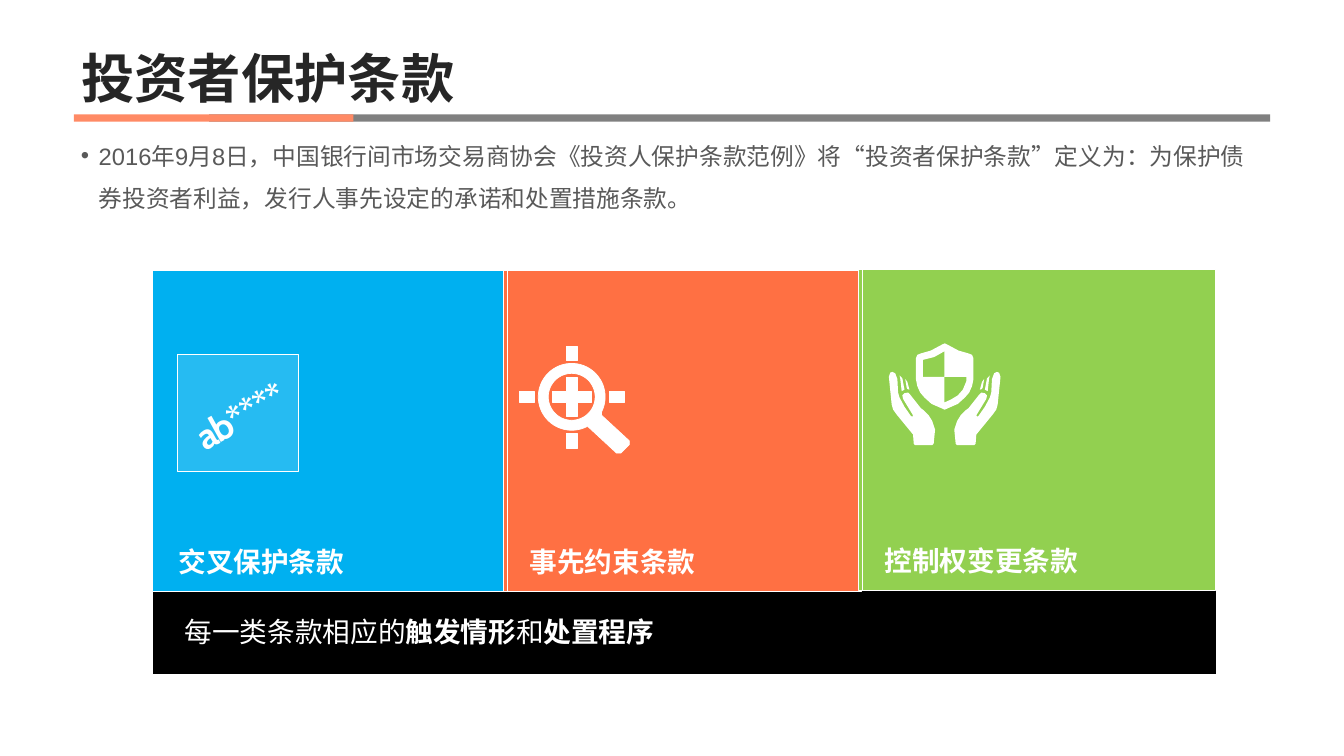
from math import cos, radians, sin

from lxml.etree import SubElement
from pptx import Presentation
from pptx.dml.color import RGBColor
from pptx.enum.lang import MSO_LANGUAGE_ID
from pptx.enum.shapes import MSO_CONNECTOR, MSO_SHAPE
from pptx.enum.text import MSO_ANCHOR, PP_ALIGN
from pptx.oxml.ns import qn
from pptx.util import Inches, Pt

COLORS = {
    "white": "FFFFFF", "black": "000000", "title": "262626", "body": "595959",
    "gray": "808080", "coral": "FF8A65",
    "blue": "00B0F0", "orange": "FF7043", "green": "92D050",
}
# label, fill, left, top, width and right inset, relative to the panel
CARDS = [
    ("交叉保护条款", "blue", 0, 0.02, 4.97, 0.37),
    ("事先约束条款", "orange", 4.94, 0.02, 5.03, 0.19),
    ("控制权变更条款", "green", 9.93, 0, 5.02, 0.19),
]


def rgb(name):
    return RGBColor.from_string(COLORS[name])


def add_run(p, text, size, color, bold=False, font="Arial"):
    r = p.add_run()
    r.text = text
    r.font.name, r.font.size, r.font.bold = font, Pt(size), bold
    r.font.color.rgb = rgb(color)
    r.font.language_id = MSO_LANGUAGE_ID.SIMPLIFIED_CHINESE
    return r


def style(sp, fill, line=None):
    sp.shadow.inherit = False
    sp.fill.solid()
    sp.fill.fore_color.rgb = rgb(fill)
    if line:
        sp.line.color.rgb = rgb("white")
        sp.line.width = Pt(line)
    else:
        sp.line.fill.background()


def add_rect(s, x, y, w, h, fill, line=None):
    sp = s.shapes.add_shape(MSO_SHAPE.RECTANGLE, Inches(x), Inches(y), Inches(w), Inches(h))
    style(sp, fill, line)
    return sp


def add_text_box(s, x, y, w, h):
    sp = s.shapes.add_textbox(Inches(x), Inches(y), Inches(w), Inches(h))
    sp.text_frame.word_wrap = True
    return sp


def add_icon(s, x, y, contours, line=None):
    """Draw closed contours as one white shape; inner contours become holes."""
    outlines = [[(Inches(x + px), Inches(y + py)) for px, py in c] for c in contours]
    builder = s.shapes.build_freeform(*outlines[0][0], scale=1.0)
    builder.add_line_segments(outlines[0][1:], close=True)
    for outline in outlines[1:]:
        builder.move_to(*outline[0])
        builder.add_line_segments(outline[1:], close=True)
    style(builder.convert_to_shape(), "white", line)


def arc(cx, cy, radius, start, end):
    return [(cx + radius * cos(radians(a)), cy + radius * sin(radians(a)))
            for a in range(start, end + 1, 6)]


def box_points(x1, y1, x2, y2):
    return [(x1, y1), (x2, y1), (x2, y2), (x1, y2)]


# Heading with its two-colour rule
def add_heading(s, x, y, w, h):
    title = s.shapes.title
    title.left, title.top, title.width, title.height = map(Inches, (x, y, w, h))
    tf = title.text_frame
    tf.word_wrap = True
    tf.vertical_anchor = MSO_ANCHOR.BOTTOM
    p = tf.paragraphs[0]
    p.alignment, p.line_spacing = PP_ALIGN.LEFT, 0.9
    add_run(p, "投资者保护条款", 54, "title", True)
    add_rect(s, x + 1.9, y + h + 0.02, w - 1.9, 0.1, "gray")
    add_rect(s, x, y + h + 0.02, 3.93, 0.1, "coral")


# Definition bullet
def add_definition(s, x, y, w, h):
    p = add_text_box(s, x, y, w, h).text_frame.paragraphs[0]
    p.line_spacing = 1.5
    ppr = p._p.get_or_add_pPr()
    ppr.set("marL", str(Inches(0.25)))
    ppr.set("indent", str(-Inches(0.25)))
    SubElement(ppr, qn("a:buFont")).set("typeface", "Arial")
    SubElement(ppr, qn("a:buChar")).set("char", "•")
    add_run(p, "2016年9月8日，中国银行间市场交易商协会《投资人保护条款范例》将"
               "“投资者保护条款”定义为：为保护债券投资者利益，"
               "发行人事先设定的承诺和处置措施条款。", 24, "body")


# Icons
def add_password(s, x, y):
    frame = add_rect(s, x, y, 1.7, 1.64, "white", 1)
    clr = frame.fill._xPr.find(qn("a:solidFill"))[0]
    SubElement(clr, qn("a:alpha")).set("val", "15000")
    sp = add_text_box(s, x + 0.09, y + 0.08, 3.22, 0.67)
    sp.rotation = 330.7
    tf = sp.text_frame
    tf.margin_left = tf.margin_right = tf.margin_top = tf.margin_bottom = 0
    r = add_run(tf.paragraphs[0], "ab****", 37.1, "white", True, "Cabin")
    r.font._element.set("spc", "-130")


def add_magnifier(s, x, y):
    cx, cy, t = 0.74, 0.71, 0.075
    handle = [(1.16, 0.97), (1.55, 1.33), (1.55, 1.38), (1.43, 1.5), (1.37, 1.5), (0.97, 1.13)]
    a, b = 0.27, t
    cross = [(-b, -a), (b, -a), (b, -b), (a, -b), (a, b), (b, b),
             (b, a), (-b, a), (-b, b), (-a, b), (-a, -b), (-b, -b)]
    ticks = [box_points(cx - t, top, cx + t, top + 0.2) for top in (0, 1.23)]
    ticks += [box_points(left, cy - t, left + 0.21, cy + t) for left in (0, 1.27)]
    add_icon(s, x, y, [
        arc(cx, cy, 0.47, 63, 387) + handle,
        arc(cx, cy, 0.33, 0, 354),
        [(cx + px, cy + py) for px, py in cross],
    ] + ticks, 0.75)


def add_shield_in_hands(s, x, y):
    w = 1.57

    def mirror(points):
        return [(w - px, py) for px, py in reversed(points)]

    hand = [
        [(0.05, 0.4), (0.09, 0.42), (0.12, 0.5), (0.13, 0.69), (0.15, 0.76), (0.22, 0.89),
         (0.31, 1.02), (0.33, 1.03), (0.34, 1.01), (0.2, 0.78), (0.19, 0.73), (0.22, 0.7),
         (0.27, 0.69), (0.3, 0.72), (0.45, 0.91), (0.49, 0.94), (0.56, 1.01), (0.61, 1.09),
         (0.64, 1.18), (0.65, 1.21), (0.63, 1.41), (0.61, 1.43), (0.37, 1.43), (0.35, 1.41),
         (0.34, 1.28), (0.11, 1), (0.06, 0.93), (0.04, 0.86), (0, 0.47), (0.02, 0.41)],
        [(0.15, 0.45), (0.19, 0.49), (0.22, 0.65), (0.18, 0.67), (0.16, 0.49)],
        [(0.23, 0.5), (0.26, 0.54), (0.29, 0.65), (0.26, 0.64), (0.25, 0.62)],
    ]
    half = [(0.78, 0), (0.74, 0.02), (0.59, 0.1), (0.45, 0.14), (0.4, 0.16), (0.38, 0.21),
            (0.38, 0.5), (0.4, 0.6), (0.44, 0.69), (0.5, 0.76), (0.6, 0.85), (0.76, 0.92),
            (0.78, 0.93)]
    quarters = [
        [(0.78, 0.11), (0.64, 0.19), (0.48, 0.23), (0.48, 0.47), (0.78, 0.47)],
        [(0.78, 0.47), (1.09, 0.47), (1.09, 0.53), (1.04, 0.65), (0.97, 0.73),
         (0.87, 0.79), (0.78, 0.83)],
    ]
    add_icon(s, x, y, [half + mirror(half)] + quarters + hand + [mirror(c) for c in hand])


# Panel with three clause cards and a summary strip
def add_card(s, x, y, w, h, label, fill, inset):
    sp = add_rect(s, x, y, w, h, fill, 1)
    tf = sp.text_frame
    tf.word_wrap = True
    tf.vertical_anchor = MSO_ANCHOR.BOTTOM
    tf.margin_left, tf.margin_right = Inches(0.37), Inches(inset)
    tf.margin_top, tf.margin_bottom = Inches(0.09), Inches(0.19)
    p = tf.paragraphs[0]
    p.alignment = PP_ALIGN.LEFT
    add_run(p, label, 28, "white", True)


def add_panel(s, x, y, w, h):
    add_rect(s, x, y + 0.01, w, h, "black", 0.5)
    for label, fill, left, top, width, inset in CARDS:
        add_card(s, x + left, y + top, width, 4.51, label, fill, inset)
    for left in (5, 9.99):
        line = s.shapes.add_connector(MSO_CONNECTOR.STRAIGHT, Inches(x + left), Inches(y - 0.1),
                                      Inches(x + left), Inches(y + 4.52))
        line.line.color.rgb = rgb("white")
        line.line.width = Pt(0.5)
        SubElement(line._element.spPr, qn("a:effectLst"))
    add_password(s, x + 0.36, y + 1.2)
    add_magnifier(s, x + 5.16, y + 1.08)
    add_shield_in_hands(s, x + 10.36, y + 1.04)
    p = add_text_box(s, x + 0.36, y + 4.81, 12.97, 0.57).text_frame.paragraphs[0]
    for text, bold in (("每一类条款相应的", False), ("触发情形", True),
                       ("和", False), ("处置程序", True)):
        add_run(p, text, 28, "white", bold)


def main():
    prs = Presentation()
    prs.slide_width, prs.slide_height = Inches(18.9), Inches(10.63)
    s = prs.slides.add_slide(prs.slide_layouts[5])
    add_heading(s, 1.04, 0, 16.82, 1.59)
    add_definition(s, 1.04, 1.74, 16.82, 1.5)
    add_panel(s, 2.14, 3.79, 14.96, 5.68)
    prs.save("out.pptx")


if __name__ == "__main__":
    main()
